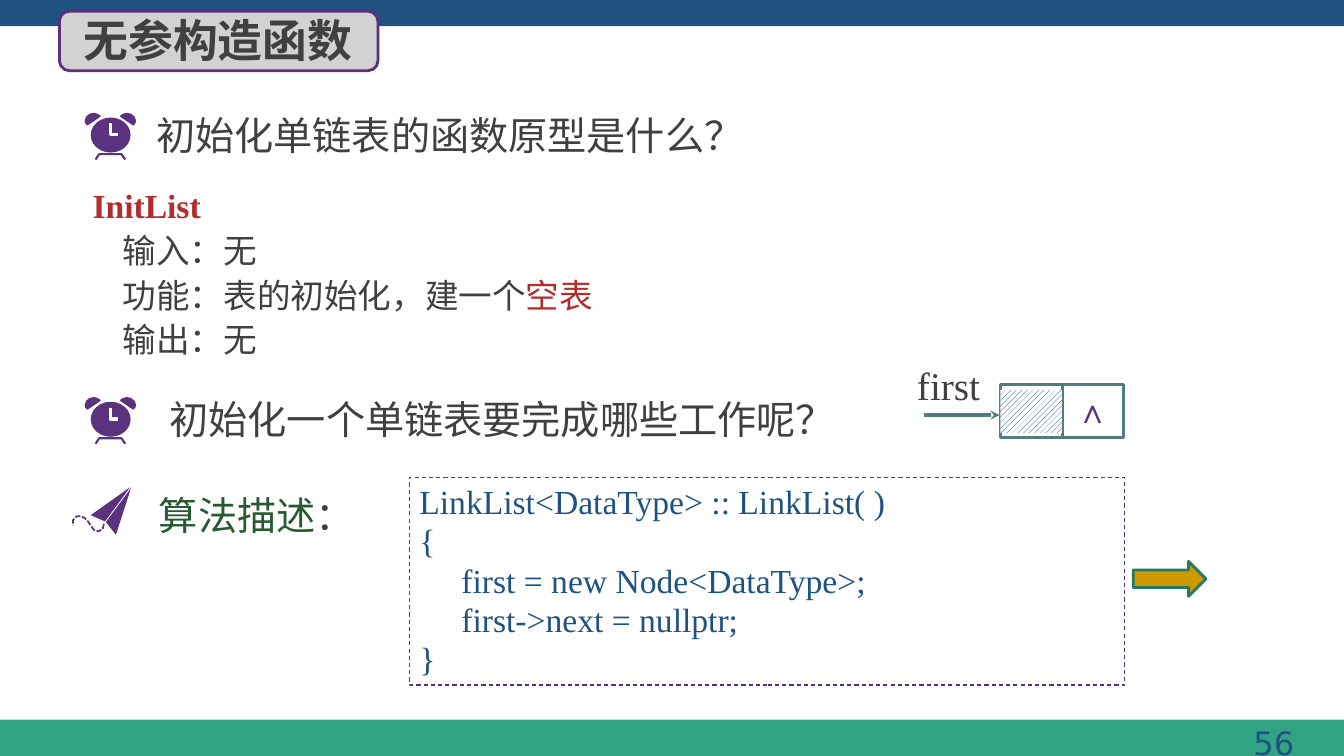
"""Build the slide on the parameterless constructor of a linked list."""
from dataclasses import dataclass

from lxml import etree
from pptx import Presentation
from pptx.dml.color import RGBColor
from pptx.enum import dml, shapes, text
from pptx.oxml import ns
from pptx.util import Pt

KIND = shapes.MSO_SHAPE
LEFT = text.PP_ALIGN.LEFT
TOP = text.MSO_ANCHOR.TOP
MID = text.MSO_ANCHOR.MIDDLE
INSET = (7.2, 3.6, 7.2, 3.6)
EAR = [(6.5, 0), (3.5, 0.7), (1, 2.7), (0, 5.5), (0.4, 7.5), (1.5, 8.8),
       (2.2, 9), (11, 3), (11.5, 2.2), (9.3, 0.7)]
FEET = [(7.8, 33.4), (10.4, 29.5), (26.3, 29.5), (29, 33.4)]
HANDS = [(18.4, 7.5), (18.4, 15.7), (23.8, 15.7)]
WINGS = ([(93.6, 348.6), (82.8, 382), (75.6, 373), (93.6, 348.6)],
         [(93, 348), (75, 372.5), (64.8, 368), (93, 348)])
TRAIL = [(74.2, 374.2), (73.4, 378), (70.2, 379.5), (67, 378.4), (65.2, 375.8),
         (63, 372.6), (60.8, 370.3), (57.6, 368.6), (54.4, 369), (52.2, 371.5),
         (52.2, 375.4)]


@dataclass(frozen=True)
class Theme:
    """Colours, fonts and type sizes of the slide."""
    navy: str = "1F5281"
    green: str = "30A383"
    grey: str = "D2D2D2"
    ink: str = "404040"
    edge: str = "5C307D"
    plum: str = "5A327D"
    teal: str = "507D7D"
    red: str = "B42D2D"
    moss: str = "285A32"
    gold: str = "CC9900"
    pine: str = "247961"
    hatch: str = "003399"
    white: str = "FFFFFF"
    han: str = "Noto Sans CJK SC"
    serif: str = "Times New Roman"
    sans: str = "DejaVu Sans"
    title: int = 32
    head: int = 28
    body: int = 24
    page: int = 23


T = Theme()


def rgb(code):
    """Turn a hex code into a colour."""
    return RGBColor.from_string(code)


def paint(item, fill=None, line=None, width=1):
    """Set the fill and outline of a shape and drop its shadow."""
    item.shadow.inherit = False
    if fill:
        item.fill.solid()
        item.fill.fore_color.rgb = rgb(fill)
    else:
        item.fill.background()
    if line:
        item.line.color.rgb = rgb(line)
        item.line.width = Pt(width)
    else:
        item.line.fill.background()
    return item


def block(slide, kind, at, fill=None, line=None, width=1):
    """Add a preset shape."""
    item = slide.shapes.add_shape(kind, *map(Pt, at))
    return paint(item, fill, line, width)


def path(slide, dots, fill=None, line=None, width=1):
    """Add a closed filled outline or an open stroke."""
    dots = [(Pt(x), Pt(y)) for x, y in dots]
    pen = slide.shapes.build_freeform(*dots[0])
    pen.add_line_segments(dots[1:], close=bool(fill))
    return paint(pen.convert_to_shape(), fill, line, width)


def link(slide, start, end, arrow=False):
    """Add a straight line, with an arrowhead on request."""
    item = slide.shapes.add_connector(
        shapes.MSO_CONNECTOR.STRAIGHT, *map(Pt, start + end))
    item.line.color.rgb = rgb(T.teal)
    item.line.width = Pt(2.25)
    if arrow:
        etree.SubElement(item.line._get_or_add_ln(), ns.qn("a:tailEnd"),
                         type="stealth", w="med", len="med")
    etree.SubElement(item._element.spPr, ns.qn("a:effectLst"))


def write(item, rows, size, font, inset=INSET, anchor=TOP, align=LEFT,
          wrap=True, pitch=None, bold=False):
    """Fill a shape with rows of (text, colour) runs."""
    frame = item.text_frame
    frame.auto_size = text.MSO_AUTO_SIZE.NONE
    frame.word_wrap = wrap
    frame.vertical_anchor = anchor
    (frame.margin_left, frame.margin_top,
     frame.margin_right, frame.margin_bottom) = map(Pt, inset)
    for i, row in enumerate(rows):
        para = frame.add_paragraph() if i else frame.paragraphs[0]
        para.alignment = align
        if pitch:
            para.line_spacing = Pt(pitch)
        for words, tint in row:
            run = para.add_run()
            run.text = words
            run.font.size = Pt(size)
            run.font.bold = bold
            run.font.name = font
            run.font.color.rgb = rgb(tint)
            etree.SubElement(run._r.get_or_add_rPr(), ns.qn("a:ea"),
                             typeface=font)
    return frame


def label(slide, at, rows, size, font, **style):
    """Add a text box."""
    box = slide.shapes.add_textbox(*map(Pt, at))
    return write(box, rows, size, font, **style)


def clock(slide, left, top):
    """Draw an alarm clock."""
    def place(dots):
        """Shift points to the clock's corner."""
        return [(left + x, top + y) for x, y in dots]

    path(slide, place(FEET), line=T.plum, width=1.5)
    path(slide, place(EAR), fill=T.plum)
    path(slide, place([(36.7 - x, y) for x, y in EAR]), fill=T.plum)
    block(slide, KIND.OVAL, (left + 4.3, top + 3.4, 28.5, 25), T.plum)
    path(slide, place(HANDS), line=T.white, width=2.2)


def ask(slide, top, left, words):
    """Add a question with its clock."""
    clock(slide, 60.5, top + 5)
    label(slide, (left, top, 490, 41), [[(words, T.ink)]], T.head, T.han,
          anchor=MID)


def plane(slide):
    """Draw a paper plane and its dashed trail."""
    for wing in WINGS:
        path(slide, wing, fill=T.plum)
    trail = path(slide, TRAIL, line=T.plum, width=1.25)
    trail.line.dash_style = dml.MSO_LINE.SQUARE_DOT


def node(slide):
    """Draw the head node and its pointer."""
    label(slide, (761.5, 275, 41, 53), [[("∧", T.plum)]], T.body, T.serif,
          bold=True)
    link(slide, (660, 296.5), (714, 296.5), arrow=True)
    label(slide, (655, 258, 60, 37), [[("first", T.ink)]], T.head, T.serif,
          inset=(0, 0, 0, 3), wrap=False)
    block(slide, KIND.RECTANGLE, (714.5, 274.5, 88, 38), line=T.teal,
          width=2.25)
    link(slide, (759, 274.5), (759, 312.5))
    data = block(slide, KIND.RECTANGLE, (714.5, 278.5, 44, 31))
    data.fill.patterned()
    data.fill.pattern = dml.MSO_PATTERN.WIDE_UPWARD_DIAGONAL
    data.fill.fore_color.rgb = rgb(T.hatch)
    data.fill.back_color.rgb = rgb(T.white)


def main():
    """Build and save the slide."""
    deck = Presentation()
    deck.slide_width, deck.slide_height = Pt(960), Pt(540)
    slide = deck.slides.add_slide(deck.slide_layouts[5])
    block(slide, KIND.RECTANGLE, (0, 514, 960, 26), T.green)
    block(slide, KIND.RECTANGLE, (0, 0, 960, 18.7), T.navy)
    label(slide, (722, 512, 212, 37), [[("56", T.navy)]], T.page, T.sans,
          inset=(9.4, 4.3, 9.4, 4.3), align=text.PP_ALIGN.RIGHT)
    block(slide, KIND.ROUNDED_RECTANGLE, (42.5, 8, 227.5, 42.5), T.grey,
          T.edge, 2)
    title = slide.shapes.title
    title.left, title.top, title.width, title.height = map(
        Pt, (52.5, 5, 220, 46))
    write(title, [[("无参构造函数", T.ink)]], T.title, T.han, anchor=MID,
          wrap=False, bold=True)
    slide.shapes._spTree.append(title._element)

    ask(slide, 75.6, 104.5, "初始化单链表的函数原型是什么？")
    ask(slide, 278.6, 114, "初始化一个单链表要完成哪些工作呢？")
    node(slide)

    at = (59, 125.3, 480, 137)
    label(slide, at, [[("InitList", T.red)]], T.body, T.serif, pitch=32,
          bold=True)
    facts = [[("输入：无", T.ink)],
             [("功能：表的初始化，建一个", T.ink), ("空表", T.red)],
             [("输出：无", T.ink)]]
    label(slide, (80.5, 157.3, 458, 105), facts, T.body, T.han, pitch=32)

    code = ["LinkList<DataType> :: LinkList( )", "{",
            "     first = new Node<DataType>;",
            "     first->next = nullptr;", "}"]
    frame = block(slide, KIND.RECTANGLE, (292.5, 340.8, 511, 148.5),
                  line=T.plum, width=0.75)
    frame.line.dash_style = dml.MSO_LINE.DASH
    write(frame, [[(row, T.navy)] for row in code], T.body, T.serif, pitch=28)

    plane(slide)
    label(slide, (106.5, 347, 180, 41),
          [[("算法描述", T.moss), ("：", T.ink)]], T.head, T.han, anchor=MID)
    block(slide, KIND.RIGHT_ARROW, (809.5, 401, 52, 25), T.gold, T.pine, 2)
    deck.save("out.pptx")


if __name__ == "__main__":
    main()
